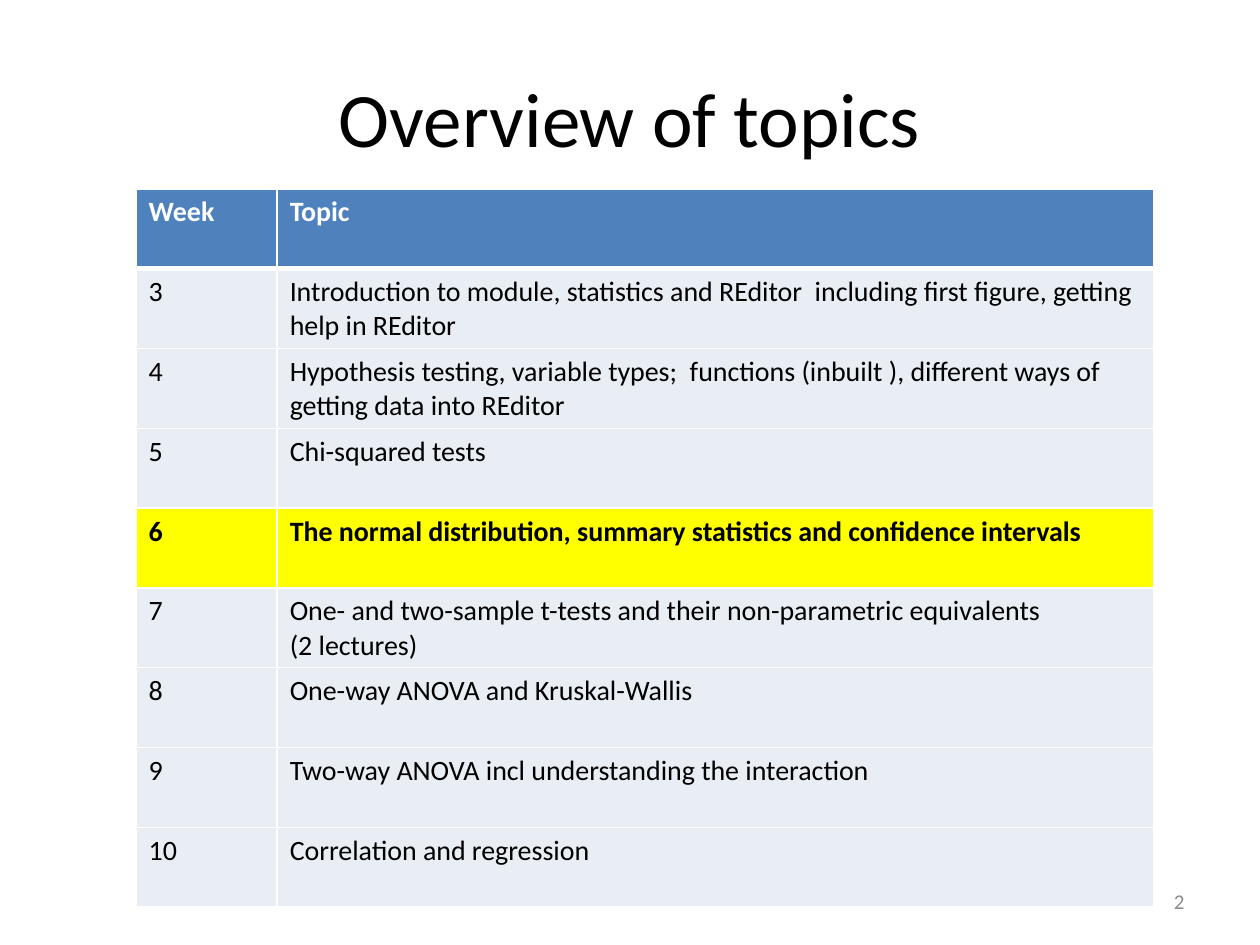
from lxml.etree import SubElement
from pptx import Presentation
from pptx.dml.color import RGBColor
from pptx.enum.text import MSO_ANCHOR as Anchor, PP_ALIGN as Align
from pptx.oxml.ns import qn
from pptx.util import Pt

COLORS = {
    "text": "000000",
    "header_text": "FFFFFF",
    "header": "4F81BD",
    "row": "E9EDF4",
    "current": "FFFF00",
    "border": "FFFFFF",
    "number": "8C8C8C",
}
FONT = "Calibri"
CURRENT_WEEK = "6"
COLUMN_WIDTHS = (80.64, 501.12)
ROW_HEIGHT = 45.6
TOPICS = [
    ("Week", "Topic"),
    ("3", "Introduction to module, statistics and REditor  including first figure, "
          "getting help in REditor"),
    ("4", "Hypothesis testing, variable types;  functions (inbuilt ), "
          "different ways of getting data into REditor"),
    ("5", "Chi-squared tests"),
    ("6", "The normal distribution, summary statistics and confidence intervals"),
    ("7", "One- and two-sample t-tests and their non-parametric equivalents\n(2 lectures)"),
    ("8", "One-way ANOVA and Kruskal-Wallis"),
    ("9", "Two-way ANOVA incl understanding the interaction"),
    ("10", "Correlation and regression"),
]


def color(name):
    return RGBColor.from_string(COLORS[name])


def write_text(text_frame, text, size, color_name, bold=False, align=Align.LEFT):
    text_frame.text = text
    font_format = {"name": FONT, "size": Pt(size), "bold": bold}
    for paragraph in text_frame.paragraphs:
        paragraph.alignment = align
        for run in paragraph.runs:
            for attribute, value in font_format.items():
                setattr(run.font, attribute, value)
            run.font.color.rgb = color(color_name)


def add_label(slide, box, text, size, color_name, align):
    text_frame = slide.shapes.add_textbox(*map(Pt, box)).text_frame
    frame_format = {"word_wrap": True, "vertical_anchor": Anchor.MIDDLE}
    for attribute, value in frame_format.items():
        setattr(text_frame, attribute, value)
    write_text(text_frame, text, size, color_name, align=align)


def set_borders(cell, widths):
    """Draw the cell's sides; widths maps L, R, T, B to points."""
    properties = cell._tc.get_or_add_tcPr()
    for side, width in widths.items():
        line = SubElement(properties, qn(f"a:ln{side}"), w=str(Pt(width)))
        fill = SubElement(line, qn("a:solidFill"))
        SubElement(fill, qn("a:srgbClr"), val=COLORS["border"])


def add_topic_table(slide, left, top):
    size = (sum(COLUMN_WIDTHS), ROW_HEIGHT * len(TOPICS))
    frame = slide.shapes.add_table(len(TOPICS), len(COLUMN_WIDTHS),
                                   *map(Pt, (left, top, *size)))
    table = frame.table
    for column, width in zip(table.columns, COLUMN_WIDTHS):
        column.width = Pt(width)

    for row_index, texts in enumerate(TOPICS):
        table.rows[row_index].height = Pt(ROW_HEIGHT)
        is_header = row_index == 0
        is_current = texts[0] == CURRENT_WEEK
        fill_name = "header" if is_header else "current" if is_current else "row"
        text_name = "header_text" if is_header else "text"
        # The line between header and body is heavier
        borders = {"L": 1, "R": 1, "T": 3 if row_index == 1 else 1,
                   "B": 3 if is_header else 1}
        for column_index, text in enumerate(texts):
            cell = table.cell(row_index, column_index)
            set_borders(cell, borders)
            cell.fill.solid()
            cell.fill.fore_color.rgb = color(fill_name)
            write_text(cell.text_frame, text, 16, text_name, is_header or is_current)


def main():
    presentation = Presentation()
    presentation.slide_width, presentation.slide_height = Pt(720), Pt(540)
    slide = presentation.slides.add_slide(presentation.slide_layouts[6])

    # Title
    add_label(slide, (36, 21.6, 648, 90), "Overview of topics", 44, "text", Align.CENTER)
    # Weekly topics
    add_topic_table(slide, 77.76, 108)
    # Slide number
    add_label(slide, (516, 500.5, 168, 28.75), "2", 12, "number", Align.RIGHT)

    presentation.save("out.pptx")


if __name__ == "__main__":
    main()
